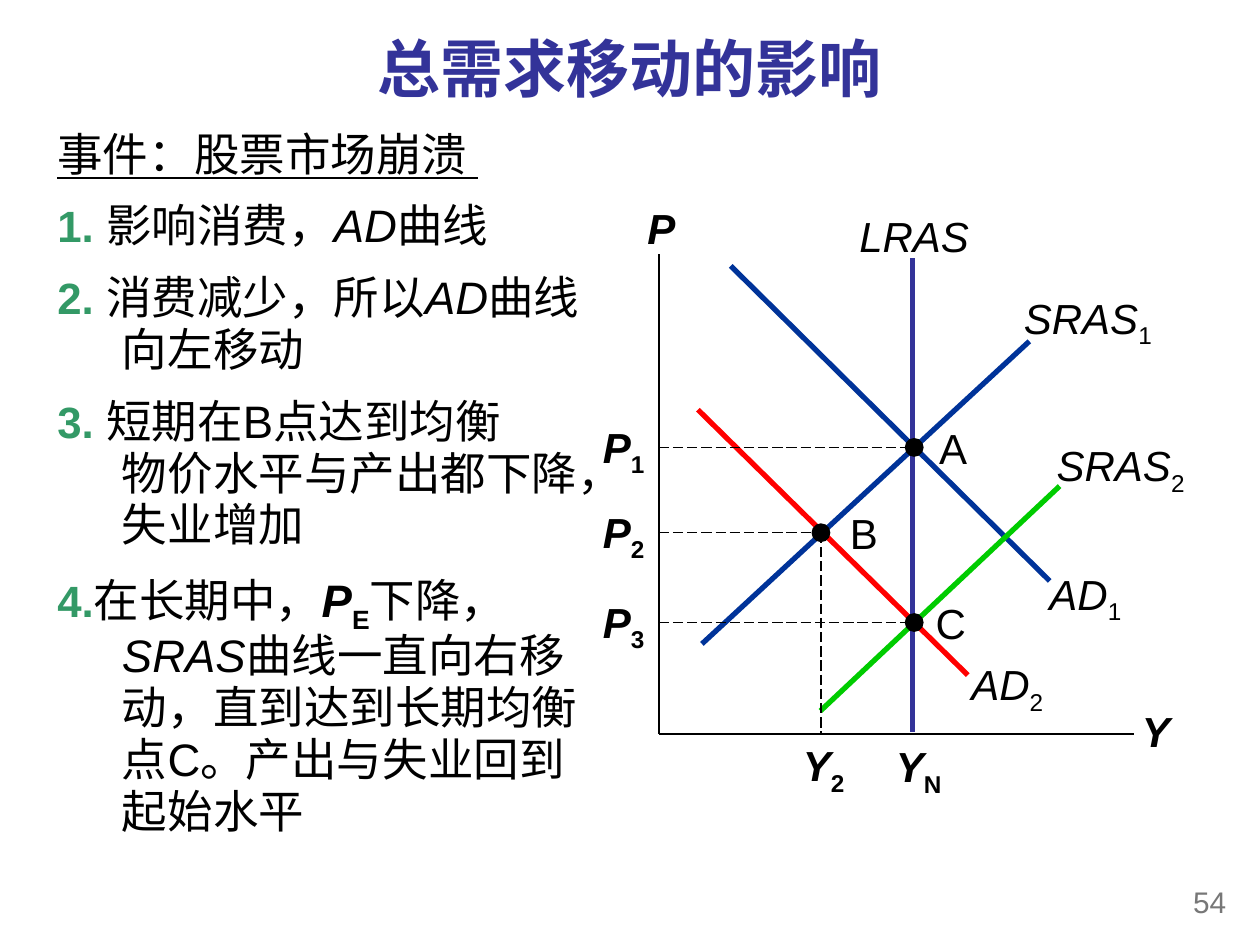
from lxml import etree
from pptx import Presentation
from pptx.dml.color import RGBColor
from pptx.enum.dml import MSO_LINE
from pptx.enum.shapes import MSO_CONNECTOR, MSO_SHAPE
from pptx.enum.text import MSO_ANCHOR, PP_ALIGN
from pptx.oxml.ns import qn
from pptx.util import Cm, Pt

BLACK, INDIGO, BLUE = "000000", "333399", "003399"
RED, GREEN, NUMBER_GREEN, GREY = "FF0000", "00CC00", "339966", "777777"

AXIS_X, AXIS_Y = 13.28, 14.8
LRAS_X = 18.4
DOT = 0.38

# colour, start, end
CURVES = [
    (BLUE, (14.73, 5.36), (21.16, 11.71)),
    (BLUE, (14.15, 12.98), (20.75, 6.88)),
    (RED, (14.07, 8.26), (19.51, 13.61)),
    (GREEN, (16.54, 14.33), (21.36, 9.8)),
]
# name, subscript, left, top, width
CURVE_LABELS = [
    ("LRAS", "", 16.79, 4.11, 3.28),
    ("AD", "1", 20.85, 11.33, 2.06),
    ("SRAS", "1", 20.29, 5.77, 3.28),
    ("AD", "2", 19.3, 13.16, 2.01),
    ("SRAS", "2", 20.95, 8.74, 3.28),
]
AXIS_LABELS = [
    ("P", "", 12.8, 3.96, 1.07),
    ("Y", "", 22.73, 14.1, 1.14),
    ("Y", "N", 17.81, 14.81, 1.42),
]
# name, centre x, centre y, label left, price index
POINTS = [
    ("A", 18.43, 9.02, 18.77, "1"),
    ("B", 16.55, 10.74, 16.97, "2"),
    ("C", 18.43, 12.55, 18.72, "3"),
]
STEPS = [
    ("1. ", [("影响消费，", {}), ("AD", {"i": True}), ("曲线", {})]),
    ("2. ", [("消费减少，所以", {}), ("AD", {"i": True}), ("曲线向左移动", {})]),
    ("3. ", [("短期在B点达到均衡", {}), None, ("物价水平与产出都下降，失业增加", {})]),
    ("4.", [("在长期中，", {}), ("P", {"b": True, "i": True}),
            ("E", {"b": True, "sub": True}), ("下降，", {}), None,
            ("SRAS", {"i": True}),
            ("曲线一直向右移动，直到达到长期均衡点C。产出与失业回到起始水平", {})]),
]


def rgb(color):
    return RGBColor.from_string(color)


def add_run(p, text, size, color=BLACK, b=False, i=False, u=False, sub=False, font="Arial"):
    r = p.add_run()
    r.text = text
    r.font.name, r.font.size = font, Pt(size)
    r.font.bold, r.font.italic, r.font.underline = b, i, u
    r.font.color.rgb = rgb(color)
    if sub:
        r.font._element.set("baseline", "-25000")


def add_box(s, left, top, width, height, align=PP_ALIGN.CENTER, inset=True):
    """Add an empty wrapped text box and return its text frame."""
    tf = s.shapes.add_textbox(Cm(left), Cm(top), Cm(width), Cm(height)).text_frame
    tf.word_wrap = True
    if not inset:
        tf.margin_left = tf.margin_right = tf.margin_top = tf.margin_bottom = 0
    tf.paragraphs[0].alignment = align
    return tf


def add_label(s, name, sub, left, top, width, b=False, i=True, inset=True):
    p = add_box(s, left, top, width, 1.27 if inset else 1.1, inset=inset).paragraphs[0]
    add_run(p, name, 24, b=b, i=i)
    if sub:
        add_run(p, sub, 24, b=b, sub=True)


def add_line(s, start, end, color=BLACK, width=1.0, dashed=False):
    points = [Cm(v) for v in (*start, *end)]
    line = s.shapes.add_connector(MSO_CONNECTOR.STRAIGHT, *points)
    line.line.color.rgb = rgb(color)
    line.line.width = Pt(width)
    if dashed:
        line.line.dash_style = MSO_LINE.LONG_DASH
    etree.SubElement(line._element.spPr, qn("a:effectLst"))


def add_dot(s, x, y):
    sp = s.shapes.add_shape(MSO_SHAPE.OVAL, Cm(x - DOT / 2), Cm(y - DOT / 2), Cm(DOT), Cm(DOT))
    sp.shadow.inherit = False
    sp.fill.solid()
    sp.fill.fore_color.rgb = rgb(BLACK)
    sp.line.fill.background()


def add_title(s, text):
    tf = add_box(s, 0, 0.46, 25.4, 1.8)
    tf.vertical_anchor = MSO_ANCHOR.MIDDLE
    add_run(tf.paragraphs[0], text, 36, INDIGO, b=True, font="Vollkorn")


def add_steps(s, heading):
    tf = add_box(s, 0.91, 2.49, 11.33, 15.06, PP_ALIGN.LEFT)
    add_run(tf.paragraphs[0], heading, 26, u=True)
    for number, parts in STEPS:
        p = tf.add_paragraph()
        p.space_before = Pt(11.4)
        add_run(p, number, 25, NUMBER_GREEN, b=True)
        for part in parts:
            if part is None:
                p.add_line_break()
            else:
                add_run(p, part[0], 26, **part[1])
    for p in tf.paragraphs:
        p.line_spacing = 0.95
        pPr = p._p.get_or_add_pPr()
        pPr.set("marL", str(Cm(1.3)))
        pPr.set("indent", str(-Cm(1.3)))


def add_diagram(s):
    add_line(s, (LRAS_X, 5.21), (LRAS_X, 14.76), INDIGO, 3)
    add_line(s, (AXIS_X, 5.13), (AXIS_X, AXIS_Y))
    add_line(s, (AXIS_X, AXIS_Y), (22.86, AXIS_Y))
    for color, start, end in CURVES:
        add_line(s, start, end, color, 3)
    for label in CURVE_LABELS:
        add_label(s, *label)
    for label in AXIS_LABELS:
        add_label(s, *label, b=True)
    for name, x, y, label_left, index in POINTS:
        add_line(s, (AXIS_X, y), (x, y), width=0.75, dashed=True)
        add_dot(s, x, y)
        add_label(s, "P", index, 11.9, y - 0.53, 1.35, b=True, inset=False)
        add_label(s, name, "", label_left, y - 0.5, 0.89, i=False, inset=False)
    x, y = POINTS[1][1:3]
    add_line(s, (x, y), (x, AXIS_Y), width=0.75, dashed=True)
    add_label(s, "Y", "2", 15.93, 14.91, 1.35, b=True, inset=False)


def main():
    prs = Presentation()
    prs.slide_width, prs.slide_height = Cm(25.4), Cm(19.05)
    s = prs.slides.add_slide(prs.slide_layouts[6])
    add_title(s, "总需求移动的影响")
    add_steps(s, "事件：股票市场崩溃 ")
    add_diagram(s)
    page = add_box(s, 23.06, 17.7, 1.91, 1.02, PP_ALIGN.RIGHT)
    add_run(page.paragraphs[0], "54", 17, GREY)
    prs.save("out.pptx")


if __name__ == "__main__":
    main()
